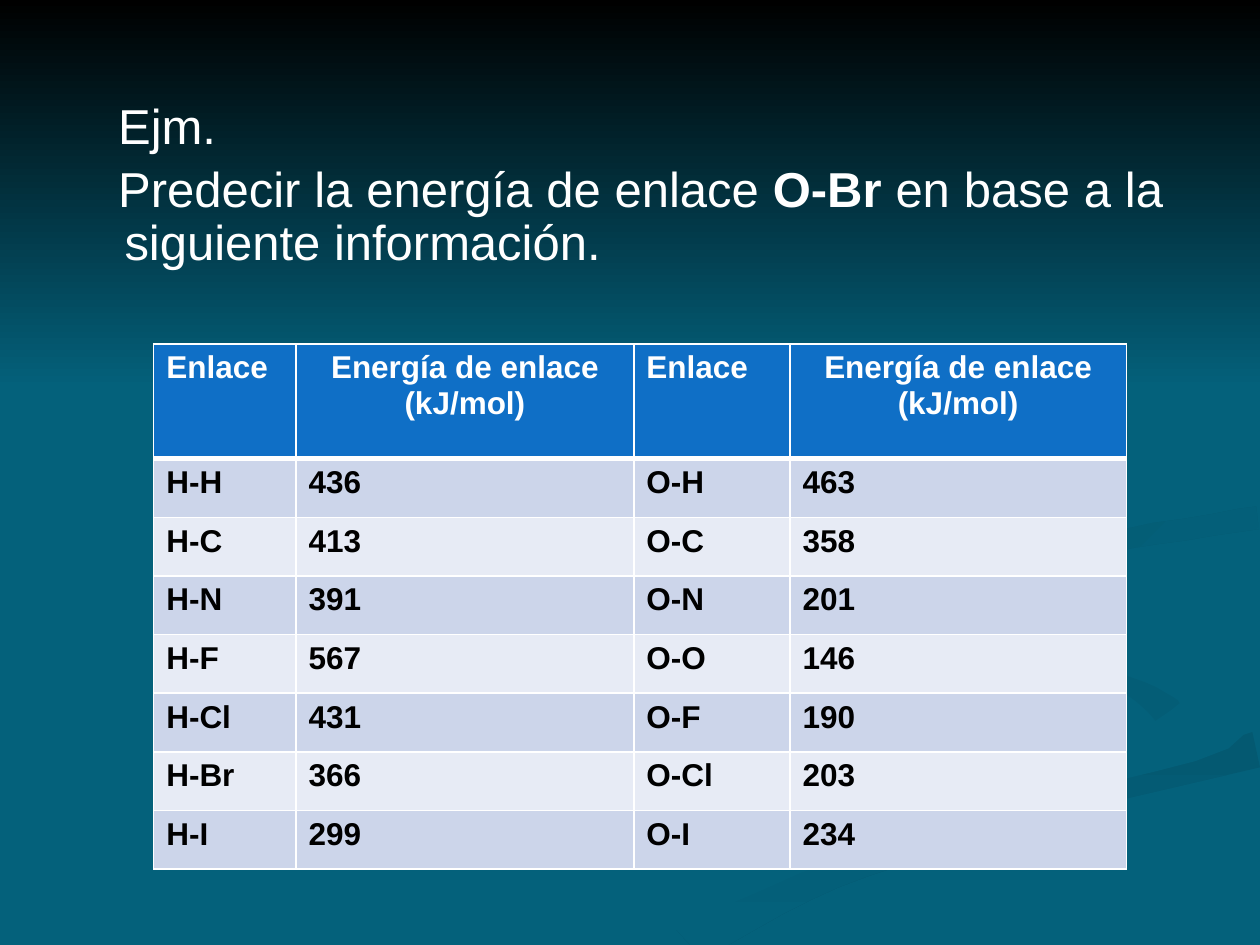
"""Build a slide that asks for the O-Br bond energy from a table of known bonds."""
import math

import pptx
import pptx.dml.color
import pptx.enum.text
import pptx.oxml.ns
import pptx.util
from lxml import etree

RGBColor = pptx.dml.color.RGBColor
ALIGN = pptx.enum.text.PP_ALIGN
Pt = pptx.util.Pt

TEAL = RGBColor(0x04, 0x61, 0x7B)
TEAL_SOFT = RGBColor(0x04, 0x5D, 0x76)
TEAL_MID = RGBColor(0x04, 0x5A, 0x72)
TEAL_DEEP = RGBColor(0x04, 0x59, 0x71)
TEAL_LIGHT = RGBColor(0x04, 0x5C, 0x74)
BLACK = RGBColor(0, 0, 0)
WHITE = RGBColor(0xFF, 0xFF, 0xFF)
HEADER_BLUE = RGBColor(0x0F, 0x6F, 0xC6)
BANDS = (RGBColor(0xCC, 0xD5, 0xEA), RGBColor(0xE7, 0xEB, 0xF5))

FONT = "Arial"
COLUMNS, ROWS = 1000, 750
WIDTH, HEIGHT = pptx.util.Inches(10), pptx.util.Inches(7.5)
UNIT = WIDTH // COLUMNS
ACROSS, DOWN, DIAGONAL = 0, 270, 315
STEPS = 5
SHADE_DEPTH = 308

LOWER_SWEEP = ((574, 462, 1), (605, 490, 4), (700, 524, 5), (793, 573, 13),
               (692, 620, 15), (535, 662, 24), (420, 703, 35), (330, 749, 50))
INNER_CURL = ((724, 464, 1), (738, 494, 4), (800, 519, 8), (880, 537, 10),
              (930, 571, 25), (894, 605, 1))
FLOOR_SWEEP = ((537, 749, 50), (639, 702, 25), (758, 660, 26), (867, 630, 20),
               (998, 595, 28))
MAIN_SWEEP = ((999, 395, 15), (874, 416, 17), (790, 432, 22), (754, 462, 56),
              (785, 492, 28), (900, 527, 18), (971, 562, 56), (850, 620, 18),
              (680, 669, 15), (575, 711, 16), (490, 749, 24))
UPPER_EDGE = ((998, 411, 18), (898, 427, 17), (845, 438, 20), (795, 462, 24),
              (800, 482, 14), (826, 496, 1))
TOP_CURL = ((763, 233, 1), (846, 277, 4), (891, 335, 6), (868, 373, 15),
            (790, 402, 20), (680, 422, 16), (585, 465, 16), (622, 500, 1))

RIBBONS = (
    (LOWER_SWEEP, TEAL, TEAL_SOFT, ACROSS),
    (INNER_CURL, TEAL, TEAL_SOFT, DIAGONAL),
    (FLOOR_SWEEP, TEAL_DEEP, TEAL, DOWN),
    (MAIN_SWEEP, TEAL, TEAL, ACROSS),
    (UPPER_EDGE, TEAL_LIGHT, TEAL, DIAGONAL),
    (TOP_CURL, TEAL_MID, TEAL, DIAGONAL),
)

PROMPT = (
    (("Ejm.", False),),
    (("Predecir la energía de enlace ", False), ("O-Br", True),
     (" en base a la siguiente información.", False)),
)

HEADINGS = ("Enlace", "Energía de enlace (kJ/mol)") * 2
ENERGIES = (
    ("H-H", "436", "O-H", "463"),
    ("H-C", "413", "O-C", "358"),
    ("H-N", "391", "O-N", "201"),
    ("H-F", "567", "O-O", "146"),
    ("H-Cl", "431", "O-F", "190"),
    ("H-Br", "366", "O-Cl", "203"),
    ("H-I", "299", "O-I", "234"),
)
COLUMN_WIDTHS = (113, 268, 124, 267)
HEADER_HEIGHT, TABLE_HEIGHT = 91, 417
THIN, THICK = Pt(1), Pt(3)


def blend(before, start, end, after, share):
    """Return the Catmull-Rom value at a share of the way from start to end."""
    return start + share / 2 * (
        end - before
        + share * (2 * before - 5 * start + 4 * end - after)
        + share ** 2 * (3 * (start - end) + after - before))


def smooth(stations):
    """Return a smooth run of (column, row, thickness) through the stations."""
    padded = (stations[0], *stations, stations[-1])
    curve = [
        tuple(blend(*values, step / STEPS) for values in zip(*padded[index:index + 4]))
        for index in range(len(stations) - 1) for step in range(STEPS)]
    return curve + [stations[-1]]


def ribbon_outline(stations):
    """Offset a smooth centre line to both sides, kept within the slide."""
    curve = smooth(stations)
    sides = ([], [])
    for index, (column, row, thickness) in enumerate(curve):
        previous, following = curve[max(index - 1, 0)], curve[min(index + 1, len(curve) - 1)]
        heading = math.atan2(following[1] - previous[1], following[0] - previous[0])
        for side, sign in zip(sides, (1, -1)):
            reach = sign * max(thickness, 1) / 2
            side.append((min(column - reach * math.sin(heading), COLUMNS),
                         min(row + reach * math.cos(heading), ROWS)))
    return sides[0] + sides[1][::-1]


def add_backdrop_shape(slide, outline, start_color, end_color, angle):
    """Add a closed outline with a fill that runs between two colours."""
    builder = slide.shapes.build_freeform(*outline[0], scale=UNIT)
    builder.add_line_segments(outline[1:], close=True)
    shape = builder.convert_to_shape()
    shape.shadow.inherit = False
    shape.line.fill.background()
    if start_color == end_color:
        shape.fill.solid()
        shape.fill.fore_color.rgb = start_color
        return
    shape.fill.gradient()
    shape.fill.gradient_angle = angle
    for stop, color in zip(shape.fill.gradient_stops, (start_color, end_color)):
        stop.color.rgb = color


def add_backdrop(slide):
    """Lay the ribbons on the teal ground and shade the top of the slide."""
    slide.background.fill.solid()
    slide.background.fill.fore_color.rgb = TEAL
    for stations, *colouring in RIBBONS:
        add_backdrop_shape(slide, ribbon_outline(stations), *colouring)
    shade = ((0, 0), (0, SHADE_DEPTH), (COLUMNS, SHADE_DEPTH), (COLUMNS, 0))
    add_backdrop_shape(slide, shade, BLACK, TEAL, DOWN)


def style_run(run, size, color, bold):
    """Set the font of one run."""
    run.font.name = FONT
    run.font.size = Pt(size)
    run.font.color.rgb = color
    run.font.bold = bold


def add_prompt(slide):
    """Add the question with a slight hanging indent."""
    frame = slide.shapes.add_textbox(51 * UNIT, 21 * UNIT, 882 * UNIT, 228 * UNIT).text_frame
    frame.word_wrap = True
    frame.margin_top = 60 * UNIT
    for index, pieces in enumerate(PROMPT):
        paragraph = frame.add_paragraph() if index else frame.paragraphs[0]
        paragraph.alignment = ALIGN.JUSTIFY
        paragraph.line_spacing = 0.9
        paragraph.space_before = Pt(6 * index)
        properties = paragraph._p.get_or_add_pPr()
        properties.set("marL", str(38 * UNIT))
        properties.set("indent", str(-5 * UNIT))
        for words, bold in pieces:
            run = paragraph.add_run()
            run.text = words
            style_run(run, 28, WHITE, bold)


def set_borders(cell, top, bottom):
    """Draw white lines on the four sides of a cell."""
    properties = cell._tc.get_or_add_tcPr()
    widths = {"lnL": THIN, "lnR": THIN, "lnT": top, "lnB": bottom}
    for position, (side, width) in enumerate(widths.items()):
        line = etree.Element(pptx.oxml.ns.qn(f"a:{side}"), w=str(width))
        fill = etree.SubElement(line, pptx.oxml.ns.qn("a:solidFill"))
        etree.SubElement(fill, pptx.oxml.ns.qn("a:srgbClr"), val=str(WHITE))
        properties.insert(position, line)


def fill_cell(cell, words, row, column):
    """Write one cell and style it by its place in the table."""
    is_header = row == 0
    cell.text = words
    cell.fill.solid()
    cell.fill.fore_color.rgb = HEADER_BLUE if is_header else BANDS[(row - 1) % 2]
    paragraph = cell.text_frame.paragraphs[0]
    paragraph.alignment = ALIGN.CENTER if is_header and column % 2 else ALIGN.LEFT
    style_run(paragraph.runs[0], 18, WHITE if is_header else BLACK, True)
    set_borders(cell, THICK if row == 1 else THIN, THICK if is_header else THIN)


def add_energy_table(slide):
    """Add the table of bond energies."""
    lines = (HEADINGS, *ENERGIES)
    table = slide.shapes.add_table(
        len(lines), len(HEADINGS), 122 * UNIT, 273 * UNIT,
        sum(COLUMN_WIDTHS) * UNIT, TABLE_HEIGHT * UNIT).table
    for column, width in zip(table.columns, COLUMN_WIDTHS):
        column.width = width * UNIT
    body_height = (TABLE_HEIGHT - HEADER_HEIGHT) * UNIT // len(ENERGIES)
    for row, texts in enumerate(lines):
        table.rows[row].height = body_height if row else HEADER_HEIGHT * UNIT
        for column, words in enumerate(texts):
            fill_cell(table.cell(row, column), words, row, column)


def main():
    """Compose the slide and save it."""
    deck = pptx.Presentation()
    deck.slide_width, deck.slide_height = WIDTH, HEIGHT
    slide = deck.slides.add_slide(deck.slide_layouts[6])
    add_backdrop(slide)
    add_prompt(slide)
    add_energy_table(slide)
    deck.save("out.pptx")


if __name__ == "__main__":
    main()
